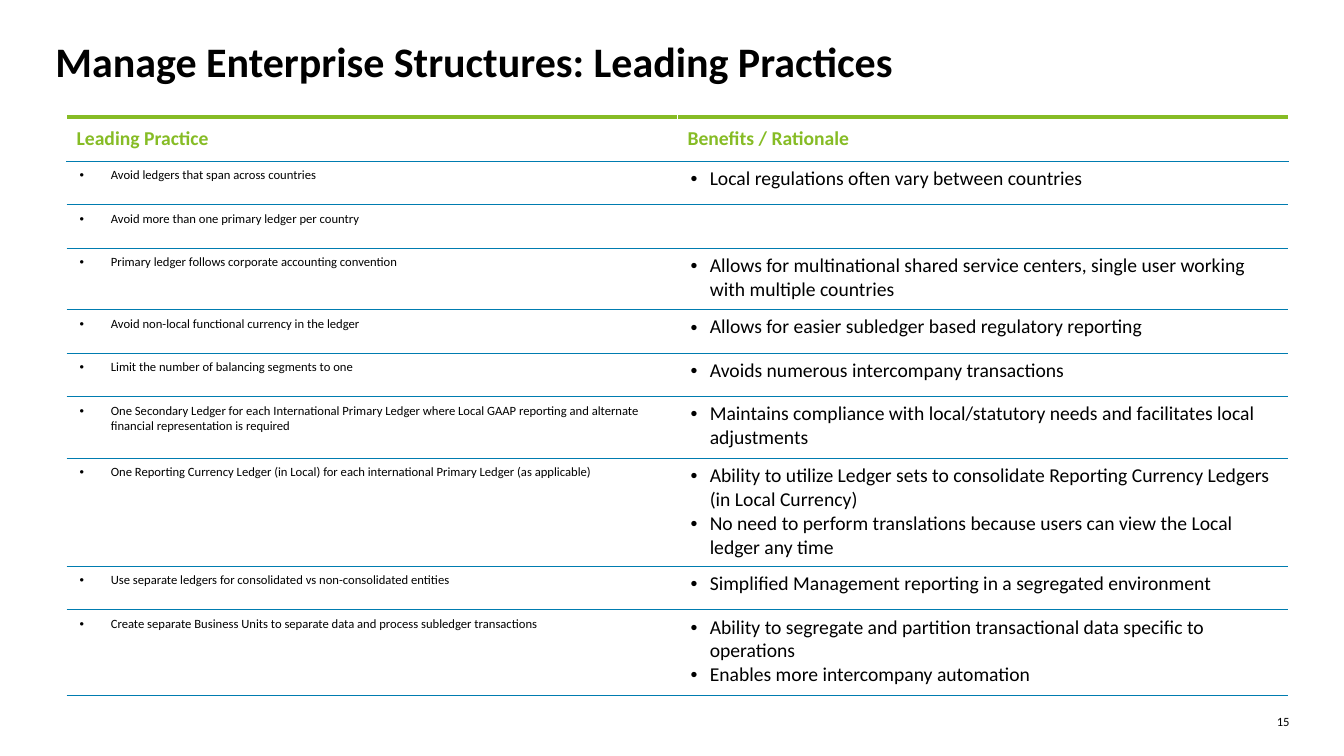
from lxml import etree
from pptx import Presentation
from pptx.dml.color import RGBColor
from pptx.enum.text import MSO_ANCHOR, PP_ALIGN
from pptx.oxml.ns import qn
from pptx.util import Inches, Pt

LEFT, RIGHT = PP_ALIGN.LEFT, PP_ALIGN.RIGHT
TOP, MIDDLE = MSO_ANCHOR.TOP, MSO_ANCHOR.MIDDLE

COLORS = {"text": "000000", "green": "86BC25", "blue": "007CB0", "white": "FFFFFF"}
NO_LINE = (None, 0)
THIN_BLUE = ("blue", 0.25)
HEADER_BORDERS = {"L": ("white", 0.5), "R": ("white", 0.5),
                  "T": ("green", 3), "B": THIN_BLUE}
BODY_BORDERS = {"L": NO_LINE, "R": NO_LINE, "T": THIN_BLUE, "B": THIN_BLUE}

HEADINGS = ["Leading Practice", "Benefits / Rationale"]
HEADER_HEIGHT = 5.8
# Row height in percent of the slide, leading practice, benefits
PRACTICES = [
    (5.75, "Avoid ledgers that span across countries",
     ["Local regulations often vary between countries"]),
    (5.75, "Avoid more than one primary ledger per country", []),
    (8.15, "Primary ledger follows corporate accounting convention",
     ["Allows for multinational shared service centers, single user working "
      "with multiple countries"]),
    (5.75, "Avoid non-local functional currency in the ledger",
     ["Allows for easier subledger based regulatory reporting"]),
    (5.75, "Limit the number of balancing segments to one",
     ["Avoids numerous intercompany transactions"]),
    (8.15, "One Secondary Ledger for each International Primary Ledger where Local "
     "GAAP reporting and alternate financial representation is required",
     ["Maintains compliance with local/statutory needs and facilitates local "
      "adjustments"]),
    (14.3, "One Reporting Currency Ledger (in Local) for each international Primary "
     "Ledger (as applicable)",
     ["Ability to utilize Ledger sets to consolidate Reporting Currency Ledgers "
      "(in Local Currency)",
      "No need to perform translations because users can view the Local ledger "
      "any time"]),
    (5.75, "Use separate ledgers for consolidated vs non-consolidated entities",
     ["Simplified Management reporting in a segregated environment"]),
    (11.3, "Create separate Business Units to separate data and process subledger "
     "transactions",
     ["Ability to segregate and partition transactional data specific to operations",
      "Enables more intercompany automation"]),
]


class SlideBuilder:
    """Draws on one slide; positions and sizes are percentages of the slide."""

    font = "Calibri"

    def __init__(self, presentation):
        self.width = presentation.slide_width
        self.height = presentation.slide_height
        self.slide = presentation.slides.add_slide(presentation.slide_layouts[6])

    def across(self, percent):
        return round(self.width * percent / 100)

    def down(self, percent):
        return round(self.height * percent / 100)

    def frame(self, left, top, width, height):
        return (self.across(left), self.down(top),
                self.across(width), self.down(height))

    def add_paragraphs(self, text_frame, texts, size, color="text", bold=False,
                       align=LEFT, indent=None):
        """Add one paragraph per text, bulleted when an indent is given."""
        for index, text in enumerate(texts):
            paragraph = (text_frame.add_paragraph() if index
                         else text_frame.paragraphs[0])
            paragraph.alignment = align
            if indent:
                self.bullet(paragraph, indent)
            run = paragraph.add_run()
            run.text = text
            run.font.name = self.font
            run.font.size = Pt(size)
            run.font.bold = bold
            run.font.color.rgb = RGBColor.from_string(COLORS[color])

    def bullet(self, paragraph, indent):
        properties = paragraph._p.get_or_add_pPr()
        properties.set("marL", str(Inches(indent)))
        properties.set("indent", str(-Inches(indent)))
        etree.SubElement(properties, qn("a:buFont"), typeface="Arial")
        etree.SubElement(properties, qn("a:buChar"), char="•")

    def text(self, frame, text, size, bold=False, align=LEFT):
        text_frame = self.slide.shapes.add_textbox(*self.frame(*frame)).text_frame
        text_frame.word_wrap = True
        text_frame.margin_left = text_frame.margin_right = 0
        text_frame.margin_top = text_frame.margin_bottom = 0
        self.add_paragraphs(text_frame, [text], size, bold=bold, align=align)

    def table(self, left, top, column_width, row_heights):
        frame = self.frame(left, top, 2 * column_width, sum(row_heights))
        table = self.slide.shapes.add_table(len(row_heights), 2, *frame).table
        table.first_row = table.horz_banding = False
        for column in table.columns:
            column.width = self.across(column_width)
        for row, height in zip(table.rows, row_heights):
            row.height = self.down(height)
        return table

    def cell(self, cell, texts, borders, margins, anchor=TOP, **style):
        self.borders(cell, borders)
        cell.fill.solid()
        cell.fill.fore_color.rgb = RGBColor.from_string(COLORS["white"])
        cell.vertical_anchor = anchor
        horizontal, vertical = margins
        cell.margin_left = cell.margin_right = Inches(horizontal)
        cell.margin_top = cell.margin_bottom = Inches(vertical)
        self.add_paragraphs(cell.text_frame, texts, **style)

    def borders(self, cell, borders):
        properties = cell._tc.get_or_add_tcPr()
        for side, (color, points) in borders.items():
            line = etree.SubElement(properties, qn(f"a:ln{side}"), w=str(Pt(points)))
            if color:
                fill = etree.SubElement(line, qn("a:solidFill"))
                etree.SubElement(fill, qn("a:srgbClr"), val=COLORS[color])
            else:
                etree.SubElement(line, qn("a:noFill"))


def main():
    presentation = Presentation()
    presentation.slide_width = Inches(13.33)
    presentation.slide_height = Inches(7.5)
    builder = SlideBuilder(presentation)

    builder.text((4.13, 4.67, 91.82, 4.93),
                 "Manage Enterprise Structures: Leading Practices", 30, bold=True)

    heights = [HEADER_HEIGHT] + [height for height, _, _ in PRACTICES]
    table = builder.table(4.95, 15.47, 45.46, heights)
    for column, heading in enumerate(HEADINGS):
        builder.cell(table.cell(0, column), [heading], HEADER_BORDERS, (0.1, 0.1),
                     MIDDLE, size=14, color="green", bold=True)
    for row, (_, practice, benefits) in enumerate(PRACTICES, start=1):
        builder.cell(table.cell(row, 0), [practice], BODY_BORDERS, (0.13, 0.07),
                     size=9, indent=0.31)
        builder.cell(table.cell(row, 1), benefits, BODY_BORDERS, (0.13, 0.06),
                     size=14, indent=0.19)

    builder.text((93.4, 94.4, 2.55, 2), "15", 9, align=RIGHT)
    presentation.save("out.pptx")


if __name__ == "__main__":
    main()
